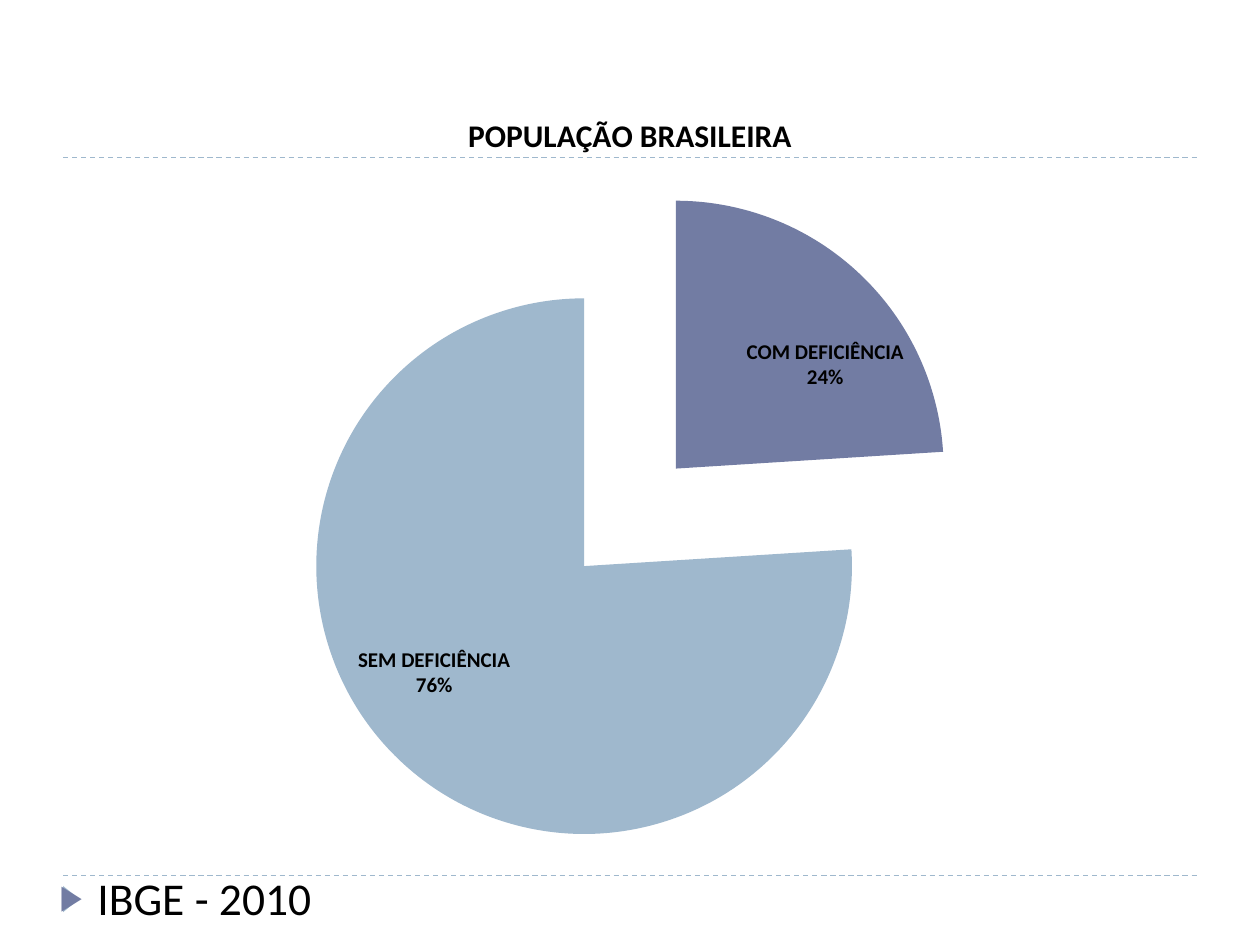
from typing import NamedTuple

from lxml import etree
from pptx import Presentation
from pptx.chart.data import CategoryChartData
from pptx.dml.color import RGBColor
from pptx.enum.chart import XL_CHART_TYPE, XL_LABEL_POSITION
from pptx.enum.dml import MSO_LINE
from pptx.enum.shapes import MSO_CONNECTOR, MSO_SHAPE
from pptx.enum.text import MSO_ANCHOR, PP_ALIGN
from pptx.oxml.ns import qn
from pptx.util import Cm, Pt

PIE = XL_CHART_TYPE.PIE
BEST_FIT = XL_LABEL_POSITION.BEST_FIT
DASH = MSO_LINE.DASH
STRAIGHT = MSO_CONNECTOR.STRAIGHT
TRIANGLE = MSO_SHAPE.ISOSCELES_TRIANGLE
TOP = MSO_ANCHOR.TOP
LEFT = PP_ALIGN.LEFT

FONT = "Calibri"
COLORS = {"text": "000000", "dark": "727CA3", "light": "9FB8CD"}


class Slice(NamedTuple):
    label: str
    value: int
    color: str


class Rule(NamedTuple):
    left: float
    right: float
    top: float


SLICES = [
    Slice("COM DEFICIÊNCIA", 24, "dark"),
    Slice("SEM DEFICIÊNCIA", 76, "light"),
]
RULES = [Rule(1.27, 24.13, 17.65), Rule(1.27, 24.13, 3.18)]


def rgb(name: str) -> RGBColor:
    return RGBColor.from_string(COLORS[name])


def set_font(font, size: float, bold: bool = False) -> None:
    font.name = FONT
    font.size = Pt(size)
    font.bold = bold
    font.color.rgb = rgb("text")


def add_rule(slide, rule: Rule) -> None:
    line = slide.shapes.add_connector(
        STRAIGHT, Cm(rule.left), Cm(rule.top), Cm(rule.right), Cm(rule.top))
    line.line.color.rgb = rgb("light")
    line.line.width = Pt(0.75)
    line.line.dash_style = DASH
    etree.SubElement(line._element.spPr, qn("a:effectLst"))


def add_marker(slide) -> None:
    mark = slide.shapes.add_shape(
        TRIANGLE, Cm(1.17), Cm(17.96), Cm(0.53), Cm(0.33))
    mark.rotation = 90
    mark.shadow.inherit = False
    mark.fill.solid()
    mark.fill.fore_color.rgb = rgb("light")
    mark.line.fill.background()


def set_bullet(para) -> None:
    """Give the paragraph a hanging indent and a coloured arrow bullet."""
    props = para._p.get_or_add_pPr()
    props.set("marL", str(Cm(0.76)))
    props.set("indent", str(-Cm(0.76)))
    color = etree.SubElement(props, qn("a:buClr"))
    etree.SubElement(color, qn("a:srgbClr"), val=COLORS["dark"])
    etree.SubElement(props, qn("a:buSzPct"), val="76000")
    etree.SubElement(props, qn("a:buFont"), typeface="Arial")
    etree.SubElement(props, qn("a:buChar"), char="▶")


def add_credit(slide) -> None:
    """Fill the body placeholder and lift it above the marker."""
    body = slide.placeholders[1]
    slide.shapes._spTree.append(body._element)
    body.left, body.top = Cm(0.95), Cm(17.42)
    body.width, body.height = Cm(22.86), Cm(1.78)
    frame = body.text_frame
    frame.word_wrap = True
    frame.vertical_anchor = TOP
    para = frame.paragraphs[0]
    para.alignment = LEFT
    para.space_before = Pt(6)
    set_bullet(para)
    run = para.add_run()
    run.text = "IBGE - 2010"
    set_font(run.font, 26)


def add_pie(slide, slices: list[Slice]) -> None:
    data = CategoryChartData()
    data.categories = [part.label for part in slices]
    data.add_series("Series 1", [part.value for part in slices])
    chart = slide.shapes.add_chart(
        PIE, Cm(0), Cm(1.73), Cm(25.4), Cm(15.8), data).chart
    set_font(chart.font, 10)
    chart.has_legend = False
    chart.has_title = True
    run = chart.chart_title.text_frame.paragraphs[0].add_run()
    run.text = "POPULAÇÃO BRASILEIRA"
    set_font(run.font, 18, True)

    plot = chart.plots[0]
    plot.vary_by_categories = True
    series = plot.series[0]
    burst = etree.Element(qn("c:explosion"), val="25")
    series._element.find(qn("c:tx")).addnext(burst)
    for index, part in enumerate(slices):
        fill = series.points[index].format.fill
        fill.solid()
        fill.fore_color.rgb = rgb(part.color)

    labels = series.data_labels
    labels.show_category_name = True
    labels.show_percentage = True
    labels.show_value = False
    labels.number_format = "0%"
    labels.number_format_is_linked = False
    labels.position = BEST_FIT
    set_font(labels.font, 12, True)
    gap = etree.Element(qn("c:separator"))
    gap.text = "\n"
    labels._element.find(qn("c:showBubbleSize")).addnext(gap)


def main() -> None:
    deck = Presentation()
    deck.slide_width, deck.slide_height = Cm(25.4), Cm(19.05)
    slide = deck.slides.add_slide(deck.slide_layouts[1])
    title = slide.shapes.title._element
    title.getparent().remove(title)
    for rule in RULES:
        add_rule(slide, rule)
    add_marker(slide)
    add_credit(slide)
    add_pie(slide, SLICES)
    deck.save("out.pptx")


if __name__ == "__main__":
    main()
